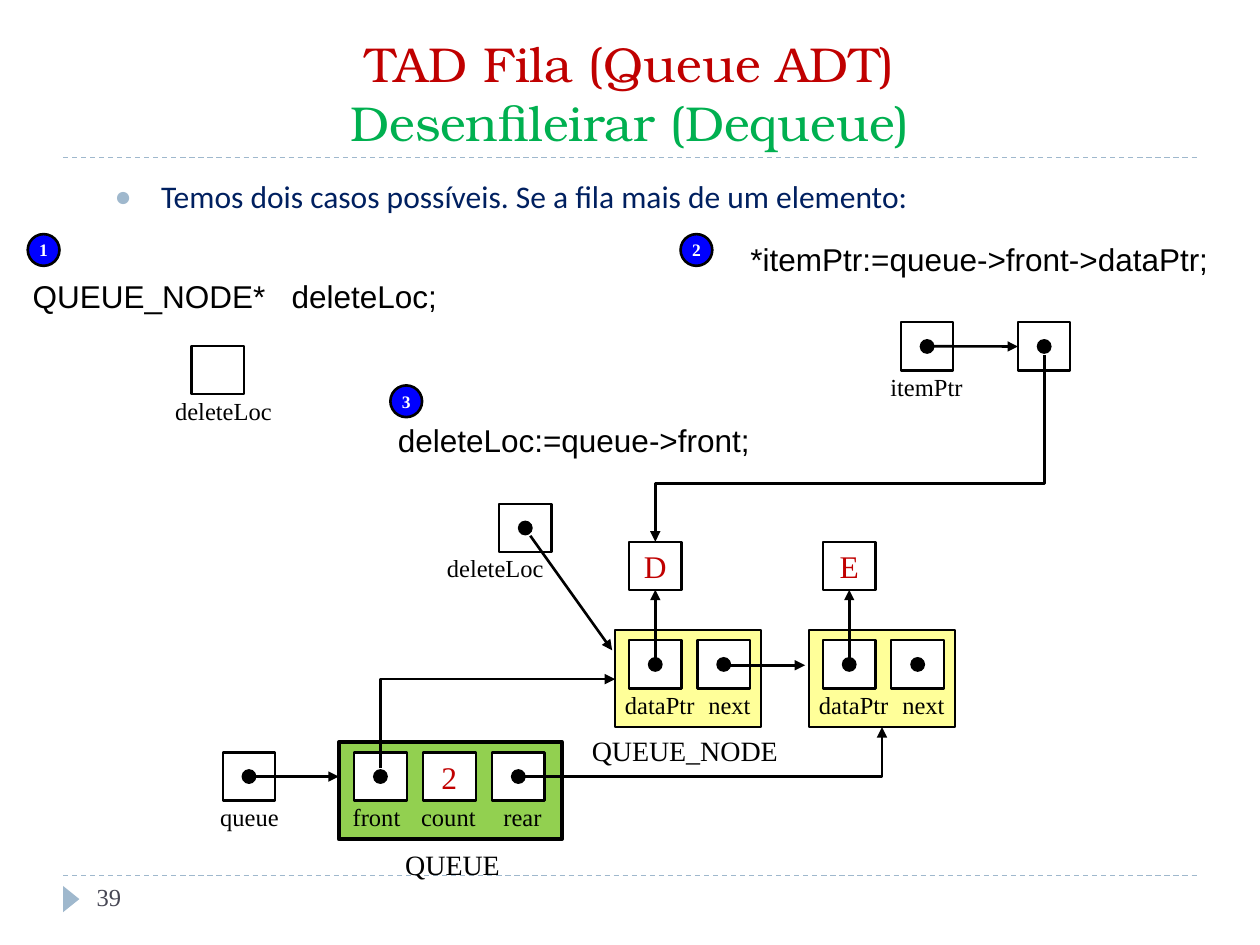
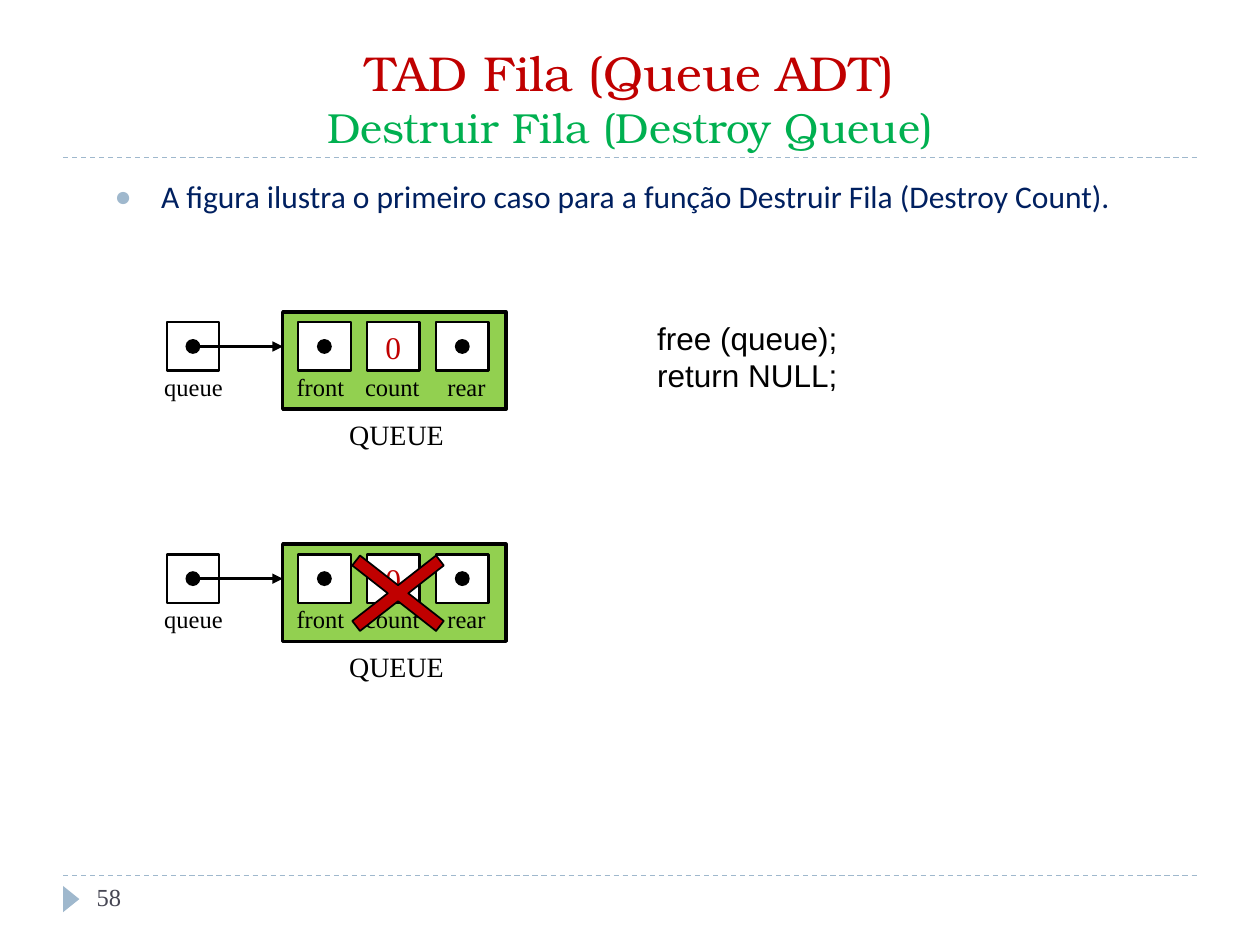
from dataclasses import dataclass

import lxml.etree
import pptx
import pptx.dml.color
import pptx.enum.dml
import pptx.enum.shapes
import pptx.enum.text
import pptx.oxml.ns
import pptx.util

SHAPE = pptx.enum.shapes.MSO_SHAPE
LINK = pptx.enum.shapes.MSO_CONNECTOR
ALIGN = pptx.enum.text.PP_ALIGN
ANCHOR = pptx.enum.text.MSO_ANCHOR
FIT = pptx.enum.text.MSO_AUTO_SIZE


@dataclass(frozen=True)
class Theme:
    """Colours as RRGGBB; each type style is (font, points, colour, bold)."""
    ink: str = "000000"
    paper: str = "FFFFFF"
    band: str = "9FB8CD"
    badge: str = "0000FF"
    queue: str = "92D050"
    node: str = "FFFF99"
    cross: str = "C00000"
    title: tuple = ("TeX Gyre Bonum", 28, "C00000", False)
    sub: tuple = ("TeX Gyre Bonum", 28, "00B050", False)
    small: tuple = ("TeX Gyre Bonum", 24, "00B050", False)
    body: tuple = ("Calibri", 18, "002060", False)
    code: tuple = ("Arial", 18, "000000", False)
    label: tuple = ("Times New Roman", 14, "000000", False)
    name: tuple = ("Times New Roman", 16, "000000", False)
    value: tuple = ("Times New Roman", 18, "C00000", False)
    step: tuple = ("Times New Roman", 10, "FFFFFF", True)
    page: tuple = ("Times New Roman", 14, "464653", False)


THEME = Theme()
CELL_W, CELL_H, DOT = 1.06, 0.97, 0.3
BOX_H, PAD, LABEL_Y = 1.96, 0.21, 1.09


def cm(*sizes):
    return [pptx.util.Cm(size) for size in sizes]


def rgb(code):
    return pptx.dml.color.RGBColor.from_string(code)


def apply(target, values):
    for key, value in values.items():
        setattr(target, key, value)


def style(font, look):
    name, size, color, bold = look
    apply(font, {"name": name, "size": pptx.util.Pt(size), "bold": bold})
    font.color.rgb = rgb(color)


def add_xml(parent, tag, **values):
    return lxml.etree.SubElement(parent, pptx.oxml.ns.qn(tag), values)


def shape(slide, kind, box, fill, width=0, text="", look=None):
    item = slide.shapes.add_shape(kind, *cm(*box))
    item.shadow.inherit = False
    item.fill.solid()
    item.fill.fore_color.rgb = rgb(fill)
    if width:
        item.line.color.rgb = rgb(THEME.ink)
        item.line.width = pptx.util.Pt(width)
    else:
        item.line.fill.background()
    if text:
        frame = item.text_frame
        apply(frame, {"word_wrap": False, "vertical_anchor": ANCHOR.MIDDLE})
        line = frame.paragraphs[0]
        apply(line, {"text": text, "alignment": ALIGN.CENTER})
        style(line.font, look)
    return item


def write(slide, box, text, look, wrap=False):
    frame = slide.shapes.add_textbox(*cm(*box)).text_frame
    apply(frame, {"word_wrap": wrap, "text": text,
                  "auto_size": FIT.NONE if wrap else FIT.SHAPE_TO_FIT_TEXT})
    for line in frame.paragraphs:
        style(line.font, look)
    return frame


def line(slide, start, end, color=THEME.ink, width=1.5, kind=LINK.STRAIGHT):
    link = slide.shapes.add_connector(kind, *cm(*start, *end))
    link.line.color.rgb = rgb(color)
    link.line.width = pptx.util.Pt(width)
    add_xml(link.element.spPr, "a:effectLst")
    return link


def arrow(slide, start, end, kind=LINK.STRAIGHT):
    link = line(slide, start, end, kind=kind)
    stroke = link.element.spPr.find(pptx.oxml.ns.qn("a:ln"))
    add_xml(stroke, "a:tailEnd", type="triangle")
    return link


def elbow(slide, start, end, turn=0, bend=None):
    """Bent arrow; turn is a clockwise quarter, bend the share before the middle leg."""
    if turn:
        mid_x, mid_y = [(a + b) / 2 for a, b in zip(start, end)]
        half_w, half_h = abs(end[1] - start[1]) / 2, abs(end[0] - start[0]) / 2
        start = mid_x - half_w, mid_y - half_h
        end = mid_x + half_w, mid_y + half_h
    link = arrow(slide, start, end, LINK.ELBOW)
    props = link.element.spPr
    if turn:
        props.find(pptx.oxml.ns.qn("a:xfrm")).set("rot", str(turn * 60000))
    form = props.find(pptx.oxml.ns.qn("a:prstGeom"))
    if bend is None:
        form.set("prst", "bentConnector2")
    else:
        guides = form.find(pptx.oxml.ns.qn("a:avLst"))
        add_xml(guides, "a:gd", name="adj1", fmla=f"val {round(bend * 100000)}")


def cell(slide, x, y, text="", dot=False):
    item = shape(slide, SHAPE.RECTANGLE, (x, y, CELL_W, CELL_H),
                 THEME.paper, 1.25, text, THEME.value)
    if dot:
        shape(slide, SHAPE.OVAL, (x + (CELL_W - DOT) / 2, y + (CELL_H - DOT) / 2,
                                  DOT, DOT), THEME.ink)
    return item


def label(slide, x, y, width, text):
    write(slide, (x, y, width, 0.86), text, THEME.label)


def badge(slide, x, y, text):
    shape(slide, SHAPE.OVAL, (x, y, 0.64, 0.64), THEME.badge, 1.5, text, THEME.step)


def queue(slide, x, y, count):
    """Queue header with its pointer cell on the left."""
    shape(slide, SHAPE.RECTANGLE, (x, y, 4.5, BOX_H), THEME.queue, 2)
    top, mid = y + PAD, y + PAD + CELL_H / 2
    for col, text in enumerate(("", count, "")):
        cell(slide, x + 0.31 + 1.39 * col, top, text, dot=not text)
    cell(slide, x - 2.34, top, dot=True)
    arrow(slide, (x - 2.34 + CELL_W / 2, mid), (x, mid))
    for dx, width, text in ((-2.64, 1.7, "queue"), (0.03, 1.48, "front"),
                            (1.41, 1.62, "count"), (3.07, 1.3, "rear")):
        label(slide, x + dx, y + LABEL_Y, width, text)
    write(slide, (x + 1.09, y + 2, 2.44, 0.94), "QUEUE", THEME.name)


def node(slide, x, y, value):
    """List node with its data cell above."""
    shape(slide, SHAPE.RECTANGLE, (x, y, 2.95, BOX_H), THEME.node, 1.25)
    for dx in (0.28, 1.66):
        cell(slide, x + dx, y + PAD, dot=True)
    data = cell(slide, x + 0.28, y - 1.78, value)
    mid = x + 0.28 + CELL_W / 2
    arrow(slide, (mid, y + 0.7), (mid, y - 0.8)).end_connect(data, 2)
    label(slide, x - 0.05, y + LABEL_Y, 1.93, "dataPtr")
    label(slide, x + 1.63, y + LABEL_Y, 1.37, "next")


def bullet(slide, text):
    frame = write(slide, (2.06, 3.45, 21.59, 1.15), text, THEME.body, wrap=True)
    item = frame.paragraphs[0]
    item.alignment = ALIGN.JUSTIFY
    props = item._p.get_or_add_pPr()
    indent = pptx.util.Cm(0.94)
    props.set("marL", str(indent))
    props.set("indent", str(-indent))
    marks = [pptx.oxml.ns.qn(tag) for tag in ("a:buClr", "a:buSzPct", "a:buFont", "a:buChar")]
    values = ({}, {"val": "90000"}, {"typeface": "Arial"}, {"char": "●"})
    for place, (tag, value) in enumerate(zip(marks, values)):
        mark = lxml.etree.Element(tag, value)
        props.insert(place, mark)
        if not value:
            add_xml(mark, "a:srgbClr", val=THEME.band)


def base(deck, topic, look, text, page):
    """Slide with title, rules, page mark and lead bullet."""
    slide = deck.slides.add_slide(deck.slide_layouts[5])
    for y in (17.65, 3.18):
        rule = line(slide, (1.27, y), (24.13, y), THEME.band, 0.75)
        rule.line.dash_style = pptx.enum.dml.MSO_LINE.DASH
    mark = shape(slide, SHAPE.ISOSCELES_TRIANGLE, (1.17, 17.96, 0.53, 0.33), THEME.band)
    mark.rotation = 90
    title = slide.shapes.title
    apply(title, dict(zip(("left", "top", "width", "height"),
                          cm(1.27, 0.64, 22.86, 2.54))))
    frame = title.text_frame
    apply(frame, {"auto_size": FIT.NONE, "word_wrap": True,
                  "vertical_anchor": ANCHOR.BOTTOM})
    head = frame.paragraphs[0]
    head.alignment = ALIGN.CENTER
    first = head.add_run()
    first.text = "TAD Fila (Queue ADT)"
    style(first.font, THEME.title)
    head.add_line_break()
    second = head.add_run()
    second.text = topic
    style(second.font, look)
    write(slide, (1.7, 17.65, 5.51, 1.02), page, THEME.page, wrap=True)
    bullet(slide, text)
    return slide


def steps(slide):
    for x, y, text in ((0.56, 4.72, "1"), (13.72, 4.72, "2"), (7.87, 7.77, "3")):
        badge(slide, x, y, text)
    for x, y, width, text in ((0.41, 5.46, 8.81, "QUEUE_NODE*   deleteLoc;"),
                              (14.88, 4.72, 9.96, "*itemPtr:=queue->front->dataPtr;"),
                              (7.77, 8.36, 7.67, "deleteLoc:=queue->front;")):
        write(slide, (x, y, width, 1.02), text, THEME.code)


def pointer(slide, x, y, dx, width, text, dot=True):
    cell(slide, x, y, dot=dot)
    label(slide, x + dx, y + 0.87, width, text)


def dequeue(deck):
    slide = base(deck, "Desenfileirar (Dequeue)", THEME.sub,
                 "Temos dois casos possíveis. Se a fila mais de um elemento:", "39")
    steps(slide)
    pointer(slide, 3.86, 6.98, -0.58, 2.49, "deleteLoc", dot=False)
    pointer(slide, 10.06, 10.16, -1.3, 2.49, "deleteLoc")
    queue(slide, 6.83, 14.96, "2")
    for col, value in enumerate("DE"):
        node(slide, 12.4 + 3.91 * col, 12.7, value)
    write(slide, (11.68, 14.66, 4.29, 0.94), "QUEUE_NODE", THEME.name)
    arrow(slide, (10.69, 10.8), (12.34, 13.11))
    arrow(slide, (14.63, 13.41), (16.23, 13.41))
    elbow(slide, (7.67, 15.49), (12.4, 13.69), turn=270)
    elbow(slide, (10.59, 15.65), (17.78, 14.66))
    pointer(slide, 18.16, 6.5, -0.46, 1.98, "itemPtr")
    item = cell(slide, 20.52, 6.5, dot=True)
    arrow(slide, (18.72, 6.98), (20.52, 6.98)).end_connect(item, 1)
    elbow(slide, (21.06, 7.16), (13.21, 10.92), turn=90, bend=0.69)


def destroy(deck):
    slide = base(deck, "Destruir Fila (Destroy Queue)", THEME.small,
                 "A figura ilustra o primeiro caso para a função "
                 "Destruir Fila (Destroy Count).", "58")
    for y in (6.29, 10.97):
        queue(slide, 5.7, y, "0")
    write(slide, (13, 6.3, 4.19, 1.8), "free (queue);\nreturn NULL;", THEME.code)
    cross = shape(slide, SHAPE.MATH_MULTIPLY, (6.4, 10.69, 3.25, 2.54), THEME.cross, 1)
    cross.adjustments[0] = 0.1


def main():
    deck = pptx.Presentation()
    apply(deck, {"slide_width": pptx.util.Cm(25.4), "slide_height": pptx.util.Cm(19.05)})
    dequeue(deck)
    destroy(deck)
    deck.save("out.pptx")


if __name__ == "__main__":
    main()
